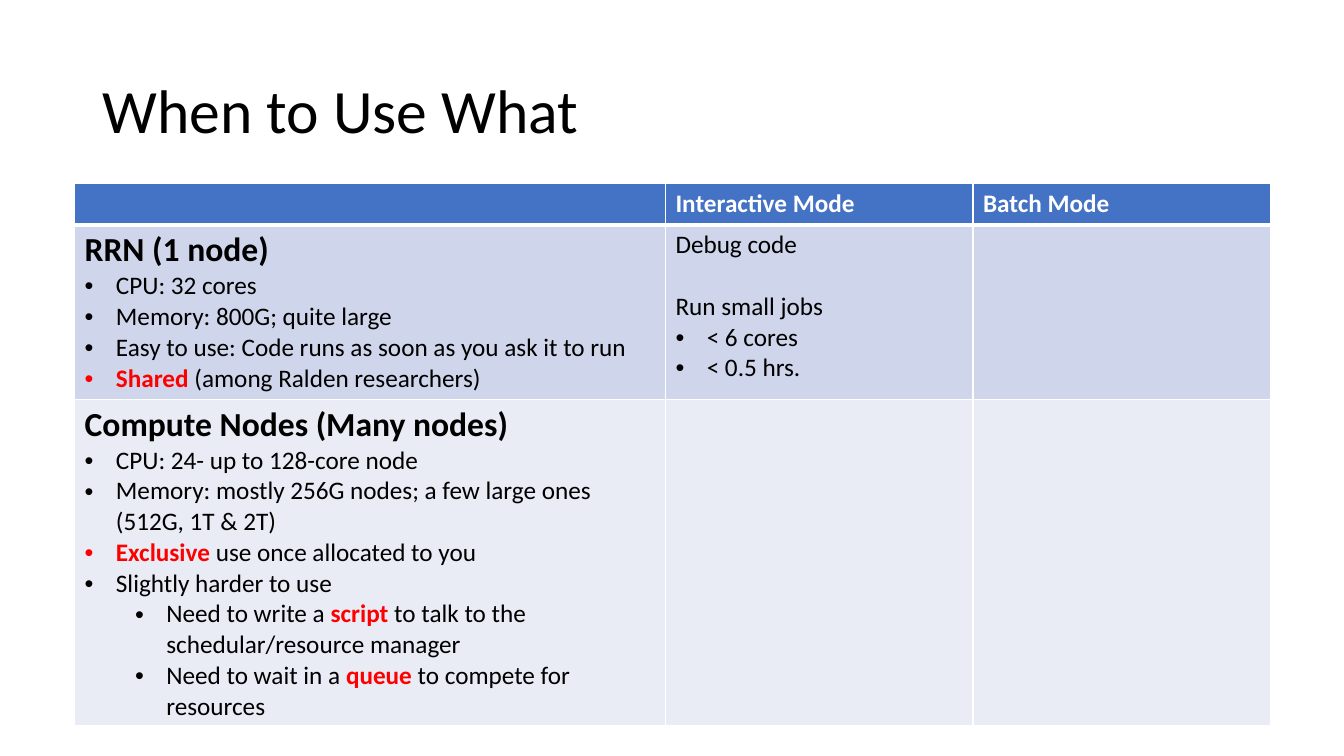
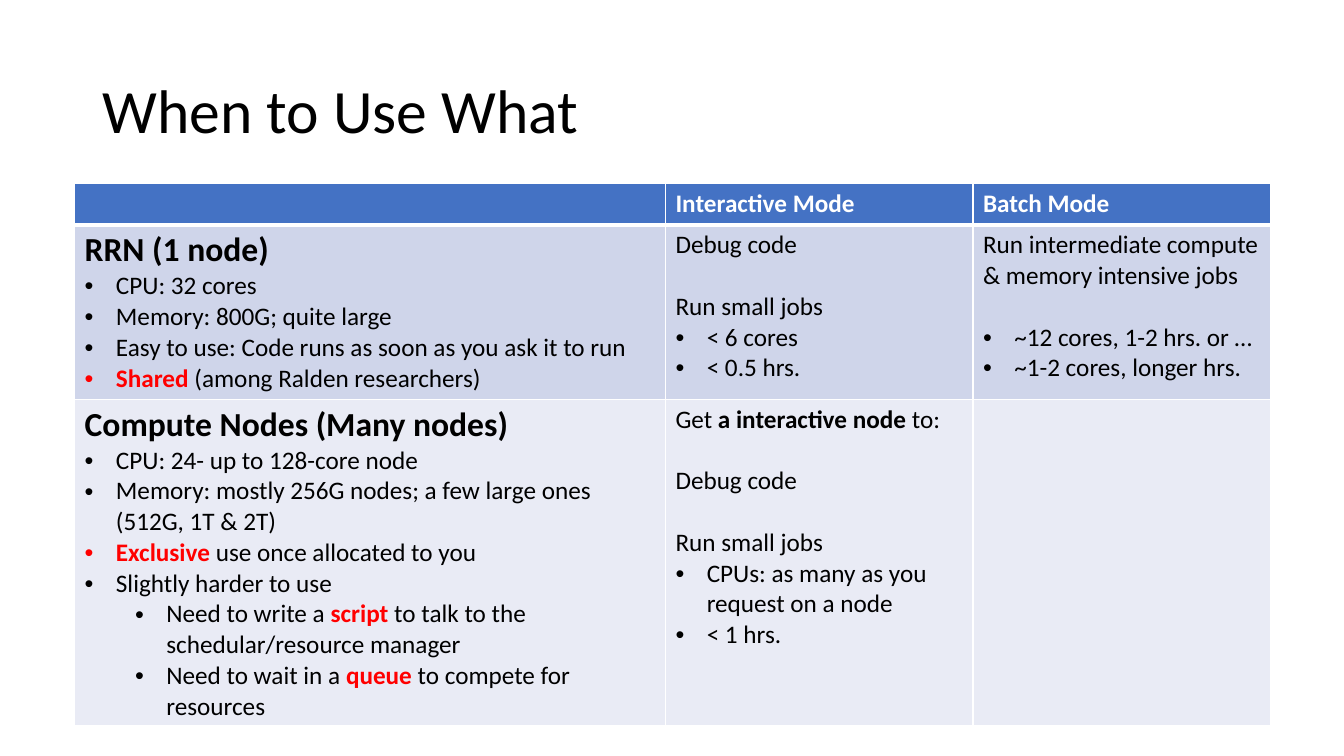
from pptx import Presentation, util as u
from pptx.dml.color import RGBColor
from pptx.enum import text
from pptx.oxml import parse_xml
from pptx.oxml.ns import nsdecls

FONT = "Calibri"
BLACK, WHITE, RED = "000000", "FFFFFF", "FF0000"
ROW_FILLS = ["4472C4", "CFD5EA", "E9EBF5"]
COLUMN_WIDTHS = [5.86, 3.05, 2.95]
ROW_HEIGHTS = [0.41, 1.73, 3.24]
BULLET_INDENTS = {"bullet": 0.31, "sub": 0.81}
MARKS = {"!": (True, RED), "*": (True, BLACK)}


def color(value):
    return RGBColor.from_string(value)


def write_cell(cell, lines):
    for number, (style, content) in enumerate(lines):
        frame = cell.text_frame
        para = frame.add_paragraph() if number else frame.paragraphs[0]
        para.font.name = FONT
        para.font.size = u.Pt(24 if style == "heading" else 18)
        if style.startswith("gap"):
            para.space_before = u.Pt(22)
            style = style[4:]
        if style in BULLET_INDENTS:
            para.level = 1 if style == "sub" else 0
            props = para._p.get_or_add_pPr()
            props.set("marL", str(u.Inches(BULLET_INDENTS[style])))
            props.set("indent", str(u.Inches(-0.31)))
            for bullet in ('buFont typeface="Arial"', 'buChar char="•"'):
                props.insert_element_before(
                    parse_xml(f"<a:{bullet} {nsdecls('a')}/>"), "a:tabLst", "a:defRPr", "a:extLst")
        for part in content.split("|"):
            span = para.add_run()
            span.text = part.lstrip("!*")
            bold, ink = MARKS.get(part[0], (style in ("heading", "header"), BLACK))
            span.font.bold = bold
            span.font.color.rgb = color(WHITE if style == "header" else ink)


header = [[], [("header", "Interactive Mode")], [("header", "Batch Mode")]]
rrn = [
    ("heading", "RRN (1 node)"),
    ("bullet", "CPU: 32 cores"),
    ("bullet", "Memory: 800G; quite large"),
    ("bullet", "Easy to use: Code runs as soon as you ask it to run"),
    ("bullet", "!Shared |(among Ralden researchers)"),
]
rrn_interactive = [
    ("plain", "Debug code"),
    ("gap", "Run small jobs"),
    ("bullet", "< 6 cores"),
    ("bullet", "< 0.5 hrs."),
]
rrn_batch = [
    ("plain", "Run intermediate compute & memory intensive jobs"),
    ("gap bullet", "~12 cores, 1-2 hrs. or …"),
    ("bullet", "~1-2 cores, longer hrs."),
]
compute = [
    ("heading", "Compute Nodes (Many nodes)"),
    ("bullet", "CPU: 24- up to 128-core node"),
    ("bullet", "Memory: mostly 256G nodes; a few large ones (512G, 1T & 2T)"),
    ("bullet", "!Exclusive| use once allocated to you"),
    ("bullet", "Slightly harder to use"),
    ("sub", "Need to write a |!script| to talk to the schedular/resource manager"),
    ("sub", "Need to wait in a |!queue| to compete for resources"),
]
compute_interactive = [
    ("plain", "Get |*a interactive node| to:"),
    ("gap", "Debug code"),
    ("gap", "Run small jobs"),
    ("bullet", "CPUs: as many as you request on a node"),
    ("bullet", "< 1 hrs."),
]
slides = [
    [header, [rrn, rrn_interactive, []], [compute, [], []]],
    [header, [rrn, rrn_interactive, rrn_batch], [compute, compute_interactive, []]],
]

deck = Presentation()
deck.slide_width, deck.slide_height = u.Inches(13.33), u.Inches(7.5)

for rows in slides:
    page = deck.slides.add_slide(deck.slide_layouts[6])
    title = page.shapes.add_textbox(u.Inches(0.92), u.Inches(0.4), u.Inches(11.5), u.Inches(1.45))
    title.text_frame.word_wrap = True
    title.text_frame.vertical_anchor = text.MSO_ANCHOR.MIDDLE
    para = title.text_frame.paragraphs[0]
    para.text = "When to Use What"
    para.line_spacing = 0.9
    para.font.name, para.font.size = FONT, u.Pt(44)
    para.font.color.rgb = color(BLACK)

    table = page.shapes.add_table(
        3, 3, u.Inches(0.74), u.Inches(1.82),
        u.Inches(sum(COLUMN_WIDTHS)), u.Inches(sum(ROW_HEIGHTS))).table
    for column, width in zip(table.columns, COLUMN_WIDTHS):
        column.width = u.Inches(width)
    for r, cells in enumerate(rows):
        table.rows[r].height = u.Inches(ROW_HEIGHTS[r])
        for c, lines in enumerate(cells):
            cell = table.cell(r, c)
            props = cell._tc.get_or_add_tcPr()
            for side in "LRTB":
                heavy = (r, side) in ((0, "B"), (1, "T"))
                props.append(parse_xml(
                    f'<a:ln{side} {nsdecls("a")} w="{u.Pt(3 if heavy else 1)}">'
                    f'<a:solidFill><a:srgbClr val="{WHITE}"/></a:solidFill></a:ln{side}>'))
            cell.fill.solid()
            cell.fill.fore_color.rgb = color(ROW_FILLS[r])
            write_cell(cell, lines)

deck.save("out.pptx")
